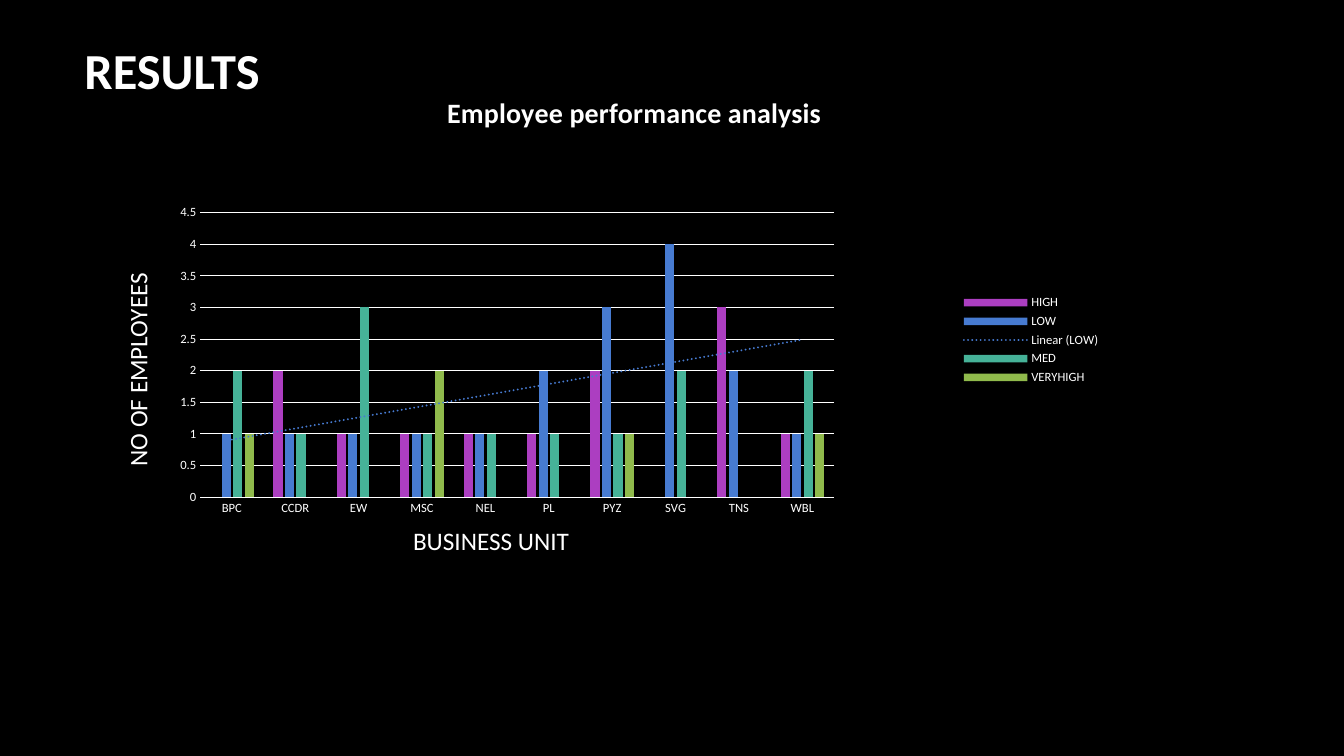
from lxml import etree
from pptx import Presentation
from pptx.chart.data import CategoryChartData
from pptx.dml.color import RGBColor
from pptx.enum.chart import XL_CHART_TYPE, XL_LEGEND_POSITION, XL_TICK_MARK
from pptx.enum.text import MSO_AUTO_SIZE
from pptx.oxml import parse_xml
from pptx.oxml.ns import nsdecls, qn
from pptx.util import Cm, Pt

CLUSTERED = XL_CHART_TYPE.COLUMN_CLUSTERED
RIGHT = XL_LEGEND_POSITION.RIGHT
NO_TICK = XL_TICK_MARK.NONE
GROW = MSO_AUTO_SIZE.SHAPE_TO_FIT_TEXT
FONT = "Calibri"
WHITE = "FFFFFF"
BLACK = "000000"

UNITS = ["BPC", "CCDR", "EW", "MSC", "NEL", "PL", "PYZ", "SVG", "TNS", "WBL"]
RATINGS = [
    ("HIGH", "AC3EC1", [None, 2, 1, 1, 1, 1, 2, None, 3, 1]),
    ("LOW", "477BD1", [1, 1, 1, 1, 1, 2, 3, 4, 2, 1]),
    ("MED", "46B298", [2, 1, 3, 1, 1, 1, 1, 2, None, 2]),
    ("VERYHIGH", "90BA4C", [1, None, None, 2, None, None, 1, None, None, 1]),
]
LABELS = [
    # text, left, top, width, height, size, bold, rotation
    ("RESULTS", 1.88, 0.86, 5.97, 1.8, 36, True, 0),
    ("BUSINESS UNIT", 10.16, 13.11, 4.67, 1.02, 18, False, 0),
    ("NO OF EMPLOYEES", 0.53, 8.56, 5.87, 1.02, 18, False, 270),
]


def color(hex_code):
    return RGBColor.from_string(hex_code)


def write(tf, text, size=18, bold=False, fill=WHITE):
    r = tf.paragraphs[0].add_run()
    r.text = text
    r.font.name = FONT
    r.font.size = Pt(size)
    r.font.bold = bold
    r.font.color.rgb = color(fill)


prs = Presentation()
prs.slide_width = Cm(33.87)
prs.slide_height = Cm(19.05)
s = prs.slides.add_slide(prs.slide_layouts[6])
s.background.fill.solid()
s.background.fill.fore_color.rgb = color(BLACK)

# Chart of ratings per business unit
data = CategoryChartData()
data.categories = UNITS
for name, _, values in RATINGS:
    data.add_series(name, values)
chart = s.shapes.add_chart(
    CLUSTERED, Cm(3.71), Cm(1.65), Cm(24.28), Cm(13.84), data
).chart
chart.has_title = True
write(chart.chart_title.text_frame, "Employee performance analysis", size=20, bold=True)
chart.has_legend = True
chart.legend.position = RIGHT
chart.legend.include_in_layout = False

category_axis, value_axis = chart.category_axis, chart.value_axis
for font, size in [
    (chart.font, 10),
    (chart.legend.font, 9),
    (category_axis.tick_labels.font, 9),
    (value_axis.tick_labels.font, 9),
]:
    font.name = FONT
    font.size = Pt(size)
    font.color.rgb = color(WHITE)

value_axis.minimum_scale = 0
value_axis.maximum_scale = 4.5
value_axis.major_unit = 0.5
value_axis.has_major_gridlines = True
for axis in (category_axis, value_axis):
    axis.major_tick_mark = NO_TICK
    axis.minor_tick_mark = NO_TICK
for line in (category_axis.format.line, value_axis.major_gridlines.format.line):
    line.width = Pt(0.75)
    line.color.rgb = color(WHITE)
value_axis.format.line.fill.background()

plot = chart.plots[0]
plot.gap_width = 219
plot.overlap = -27
plot.vary_by_categories = False
for series, (name, hex_code, _) in zip(plot.series, RATINGS):
    series.format.fill.solid()
    series.format.fill.fore_color.rgb = color(hex_code)
    series.invert_if_negative = False
    if name == "LOW":
        trend = parse_xml(
            f'<c:trendline {nsdecls("c", "a")}><c:spPr><a:ln w="{Pt(1.5)}" cap="rnd">'
            f'<a:solidFill><a:srgbClr val="{hex_code}"/></a:solidFill>'
            '<a:prstDash val="sysDot"/></a:ln></c:spPr>'
            '<c:trendlineType val="linear"/><c:dispRSqr val="0"/><c:dispEq val="0"/>'
            "</c:trendline>"
        )
        series._element.find(qn("c:cat")).addprevious(trend)

# Fixed places of the title and the plot, as fractions of the chart
plot_area = plot._element.getparent()
for parent, index, place in [
    (chart.chart_title._element, 1, {"xMode": "edge", "yMode": "edge", "x": 0.306, "y": 0.04}),
    (plot_area, 0, {"layoutTarget": "inner", "xMode": "edge", "yMode": "edge",
                    "x": 0.055, "y": 0.268, "w": 0.658, "h": 0.518}),
]:
    for old in parent.findall(qn("c:layout")):
        parent.remove(old)
    layout = parse_xml(f'<c:layout {nsdecls("c")}/>')
    manual = etree.SubElement(layout, qn("c:manualLayout"))
    for tag, value in place.items():
        etree.SubElement(manual, qn(f"c:{tag}")).set("val", str(value))
    parent.insert(index, layout)

# Heading and axis names
for text, left, top, width, height, size, bold, rotation in LABELS:
    sp = s.shapes.add_textbox(Cm(left), Cm(top), Cm(width), Cm(height))
    sp.rotation = rotation
    tf = sp.text_frame
    tf.word_wrap = True
    tf.auto_size = GROW
    write(tf, text, size=size, bold=bold)

prs.save("out.pptx")
